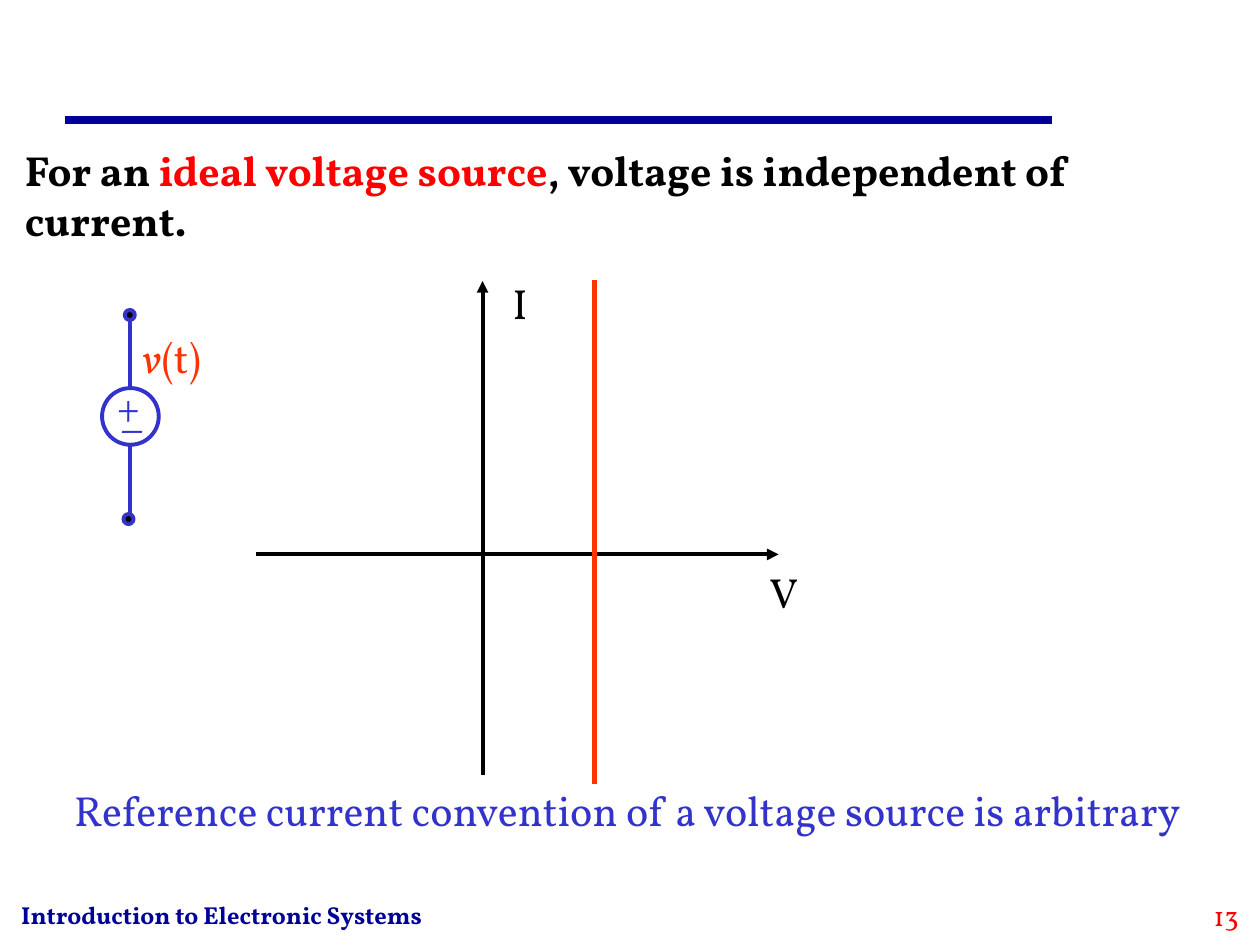
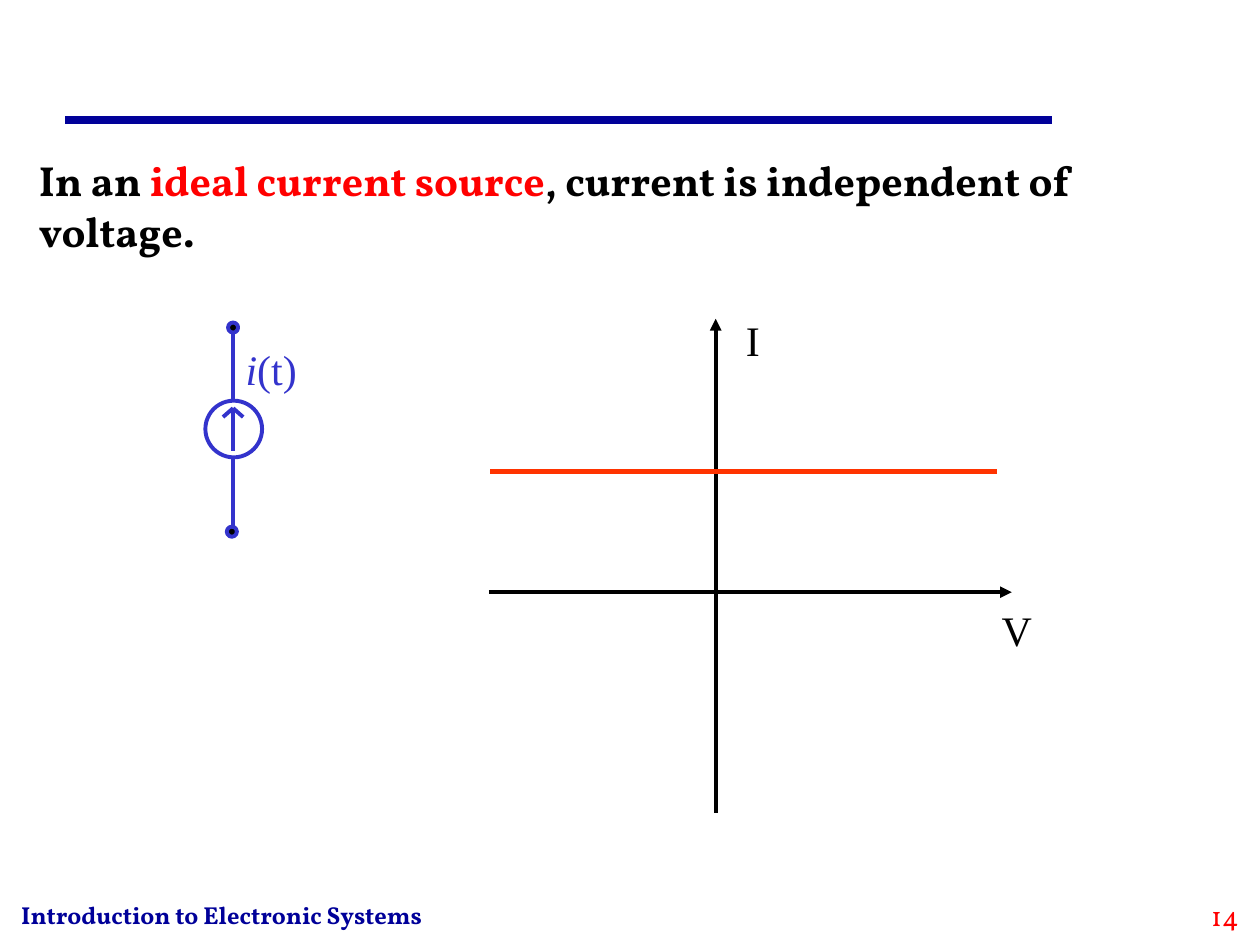
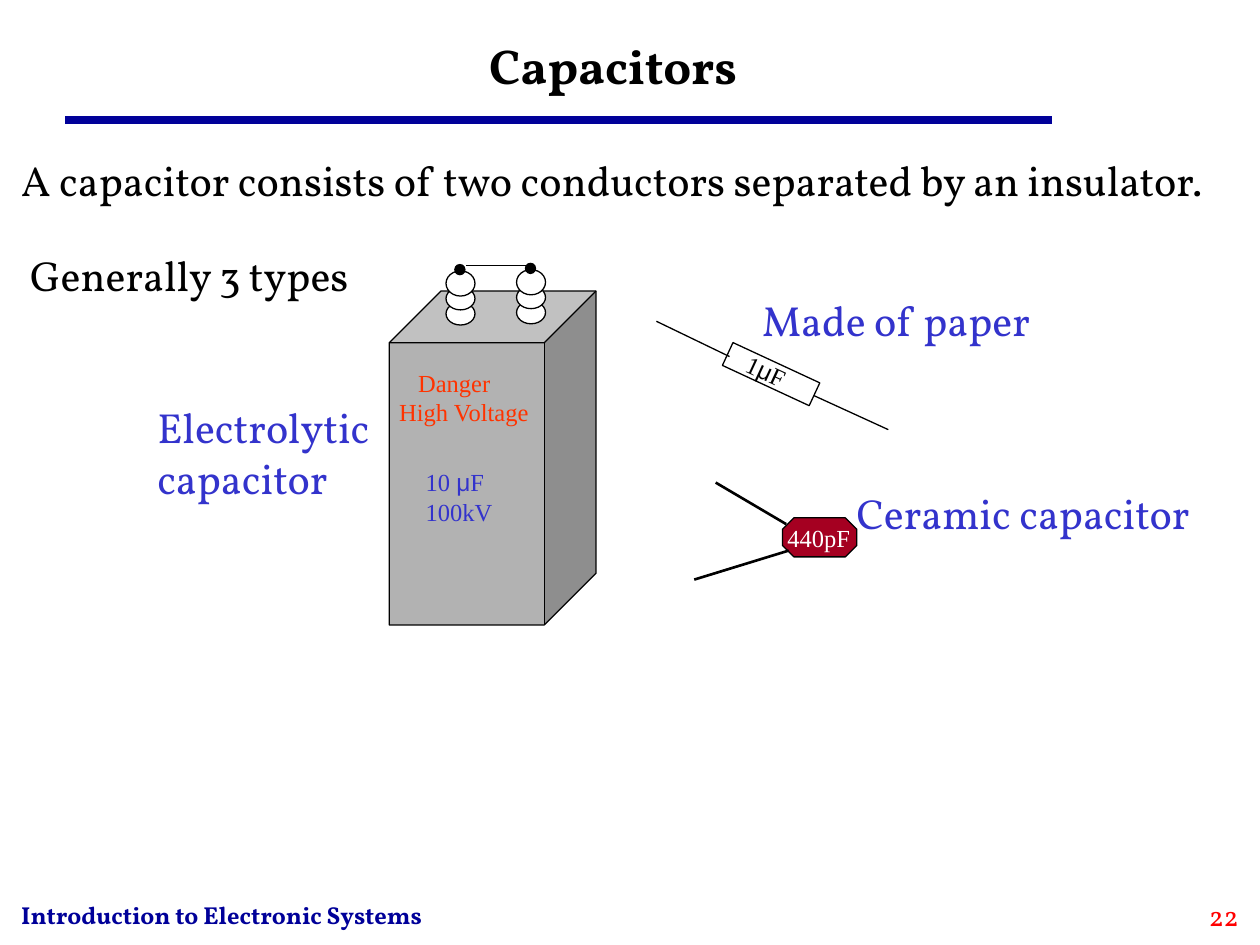
from lxml import etree
from pptx import Presentation
from pptx import util as u
from pptx.dml.color import RGBColor
from pptx.enum import shapes, text
from pptx.oxml.ns import qn

INK = {
    "black": "000000", "white": "FFFFFF", "navy": "000099", "blue": "3333CC",
    "red": "FF0000", "orange": "FF3300", "gray": "B2B2B2", "wine": "A50021",
}
SERIF, ROMAN, SANS = "Vollkorn", "Times New Roman", "Arial"
LEFT, MID, RIGHT = text.PP_ALIGN.LEFT, text.PP_ALIGN.CENTER, text.PP_ALIGN.RIGHT
OVAL = shapes.MSO_SHAPE.OVAL


def rgb(name):
    return RGBColor.from_string(INK[name])


def write(slide, box, paras, size=24, face=SERIF, ink="black", bold=False,
          align=LEFT, mid=False, wrap=False, turn=0):
    """Each paragraph is a list of runs: (text, changes to the style)."""
    area = slide.shapes.add_textbox(*map(u.Inches, box))
    area.rotation = turn
    frame = area.text_frame
    frame.word_wrap = wrap
    if mid:
        frame.vertical_anchor = text.MSO_ANCHOR.MIDDLE
    for n, runs in enumerate(paras):
        para = frame.add_paragraph() if n else frame.paragraphs[0]
        para.alignment = align
        for words, style in runs:
            run = para.add_run()
            run.text = words
            font = run.font
            font.size = u.Pt(size)
            font.name = style.get("face", face)
            font.color.rgb = rgb(style.get("ink", ink))
            font.bold = bold
            font.italic = style.get("slant", False)
    return area


def label(slide, box, words, **style):
    return write(slide, box, [[(words, {})]], **style)


def line(slide, start, end, ink="black", width=2.25, arrow=False):
    link = slide.shapes.add_connector(
        shapes.MSO_CONNECTOR.STRAIGHT, *map(u.Inches, (*start, *end)))
    link.line.color.rgb = rgb(ink)
    link.line.width = u.Pt(width)
    if arrow:
        tip = etree.SubElement(link.line._get_or_add_ln(), qn("a:tailEnd"))
        tip.set("type", "triangle")
    etree.SubElement(link._element.spPr, qn("a:effectLst"))


def shape(slide, kind, box, fill=None, ink="black", width=0.75, turn=0):
    item = slide.shapes.add_shape(kind, *map(u.Inches, box))
    item.shadow.inherit = False
    item.rotation = turn
    if fill:
        item.fill.solid()
        item.fill.fore_color.rgb = rgb(fill)
    else:
        item.fill.background()
    item.line.color.rgb = rgb(ink)
    item.line.width = u.Pt(width)
    return item


def page(deck, num):
    """Add a slide with the shared band, footer and page number."""
    slide = deck.slides.add_slide(deck.slide_layouts[6])
    label(slide, (0.07, 7.09, 3.85, 0.27), "Introduction to Electronic Systems",
          size=14, ink="navy", bold=True, wrap=True)
    line(slide, (0.52, 0.95), (8.35, 0.95), "navy", 4.5)
    label(slide, (9.26, 7.08, 0.67, 0.34), str(num), size=16, ink="red",
          align=RIGHT, wrap=True)
    return slide


def claim(slide, box, start, term, rest):
    """Bold heading with its key term in red."""
    write(slide, box, [[(start, {}), (term, {"ink": "red"}), (rest, {})]],
          bold=True, mid=True, wrap=True)


def axes(slide, x, y, face):
    """V and I axes that cross at x, y."""
    line(slide, (x - 1.8, y), (x + 2.35, y), arrow=True)
    line(slide, (x, y + 1.75), (x, y - 2.17), arrow=True)
    label(slide, (x + 2.17, y + 0.05, 0.44, 0.5), "V", face=face, align=MID, mid=True)
    label(slide, (x + 0.14, y - 2.25, 0.31, 0.5), "I", face=face, align=MID, mid=True)


def source(slide, x, y, name, face, ink):
    """Ring at x, y with two leads, end dots and a label such as v(t)."""
    shape(slide, OVAL, (x, y, 0.45, 0.45), ink="blue", width=2.25)
    pin = x + 0.22
    line(slide, (pin, y), (pin, y - 0.58), "blue")
    line(slide, (pin, y + 1.04), (pin, y + 0.46), "blue")
    for left, top in ((0.18, -0.62), (0.17, 1)):
        shape(slide, OVAL, (x + left, y + top, 0.08, 0.08), "black", "blue", 2.25)
    write(slide, (pin, y - 0.5, 0.75, 0.5), [[(name, {"slant": True}), ("(t)", {})]],
          face=face, ink=ink)


def post(slide, x, y):
    """Stacked insulator with a black terminal on top."""
    for top, high in ((0.3, 0.18), (0.18, 0.18), (0.05, 0.2)):
        shape(slide, OVAL, (x, y + top, 0.23, high), "white")
    shape(slide, OVAL, (x + 0.07, y, 0.08, 0.08), "black")


def can(slide):
    """Electrolytic capacitor."""
    shape(slide, shapes.MSO_SHAPE.CUBE, (3.09, 2.31, 1.64, 2.65), "gray")
    post(slide, 3.54, 2.1)
    post(slide, 4.1, 2.09)
    line(slide, (3.7, 2.11), (4.21, 2.11), width=0.75)
    write(slide, (3.28, 3.66, 0.73, 0.57),
          [[("10 ", {}), ("μ", {"face": SANS}), ("F", {})], [("100kV", {})]],
          size=14, face=ROMAN, ink="blue")
    note = write(slide, (3.07, 2.87, 1.25, 0.57),
                 [[("Danger", {})], [("High Voltage", {})]],
                 size=14, face=ROMAN, ink="orange")
    first = note.text_frame.paragraphs[0]
    first._p.get_or_add_pPr().set("marL", str(u.Inches(0.15)))


def paper(slide):
    """Paper capacitor, tilted along its leads."""
    tilt = 24.9
    shape(slide, shapes.MSO_SHAPE.RECTANGLE, (5.74, 2.87, 0.76, 0.2), "white", turn=tilt)
    line(slide, (5.21, 2.55), (5.79, 2.83), width=0.75)
    line(slide, (6.46, 3.14), (7.05, 3.41), width=0.75)
    write(slide, (5.81, 2.83, 0.75, 0.34),
          [[("1", {}), ("μ", {"face": SANS}), ("F", {})]],
          size=14, face=ROMAN, wrap=True, turn=tilt)


def disc(slide):
    """Ceramic capacitor."""
    shape(slide, shapes.MSO_SHAPE.OCTAGON, (6.21, 4.11, 0.59, 0.31), "wine")
    line(slide, (5.68, 3.83), (6.24, 4.16), width=1.5)
    line(slide, (5.51, 4.6), (6.26, 4.37), width=1.5)
    label(slide, (6.15, 4.1, 0.7, 0.34), "440pF", size=14, face=ROMAN, ink="white")


def volts(deck):
    slide = page(deck, 13)
    claim(slide, (0.1, 1.11, 9.63, 0.87), "For an ", "ideal voltage source",
          ", voltage is independent of current.")
    axes(slide, 3.83, 4.4, SERIF)
    line(slide, (4.72, 2.22), (4.72, 6.22), "orange", 3)
    label(slide, (0.49, 6.18, 9.09, 0.5),
          "Reference current convention of a voltage source is arbitrary", ink="blue")
    source(slide, 0.81, 3.08, "v", SERIF, "orange")
    label(slide, (0.83, 2.97, 0.4, 0.5), "+", ink="blue")
    label(slide, (0.86, 3.01, 0.36, 0.5), "_", ink="blue")


def amps(deck):
    slide = page(deck, 14)
    claim(slide, (0.21, 1.13, 9.4, 1), "In an ", "ideal current source",
          ", current is independent of voltage.")
    axes(slide, 5.68, 4.7, ROMAN)
    line(slide, (3.89, 3.74), (7.91, 3.74), "orange", 3)
    source(slide, 1.63, 3.18, "i", ROMAN, "blue")
    tip = (1.85, 3.24)
    for end in ((1.85, 3.58), (1.77, 3.31), (1.93, 3.31)):
        line(slide, tip, end, "blue")


def caps(deck):
    slide = page(deck, 22)
    label(slide, (1.32, 0.2, 7.09, 0.63), "Capacitors", size=28, bold=True,
          align=MID, mid=True, wrap=True)
    can(slide)
    paper(slide)
    disc(slide)
    label(slide, (1.15, 3.14, 2.24, 0.9), "Electrolytic capacitor", ink="blue", wrap=True)
    label(slide, (0.07, 1.18, 9.78, 0.5),
          "A capacitor consists of two conductors separated by an insulator.")
    label(slide, (5.95, 2.29, 2.41, 0.5), "Made of paper", ink="blue", wrap=True)
    label(slide, (6.69, 3.82, 2.86, 0.5), "Ceramic capacitor", ink="blue",
          align=MID, mid=True)
    label(slide, (0.14, 1.93, 3.83, 0.5), "Generally 3 types", wrap=True)


def main():
    deck = Presentation()
    deck.slide_width, deck.slide_height = u.Inches(10), u.Inches(7.5)
    volts(deck)
    amps(deck)
    caps(deck)
    deck.save("out.pptx")


if __name__ == "__main__":
    main()
